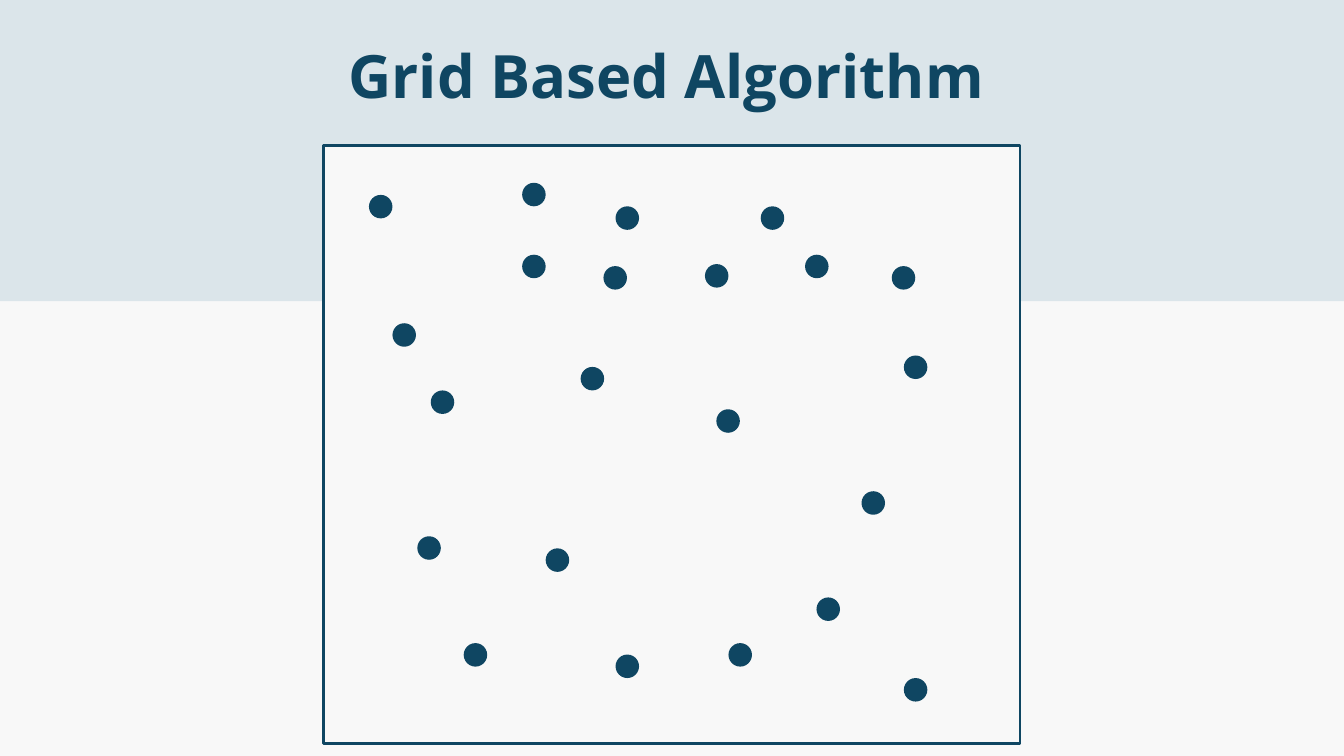
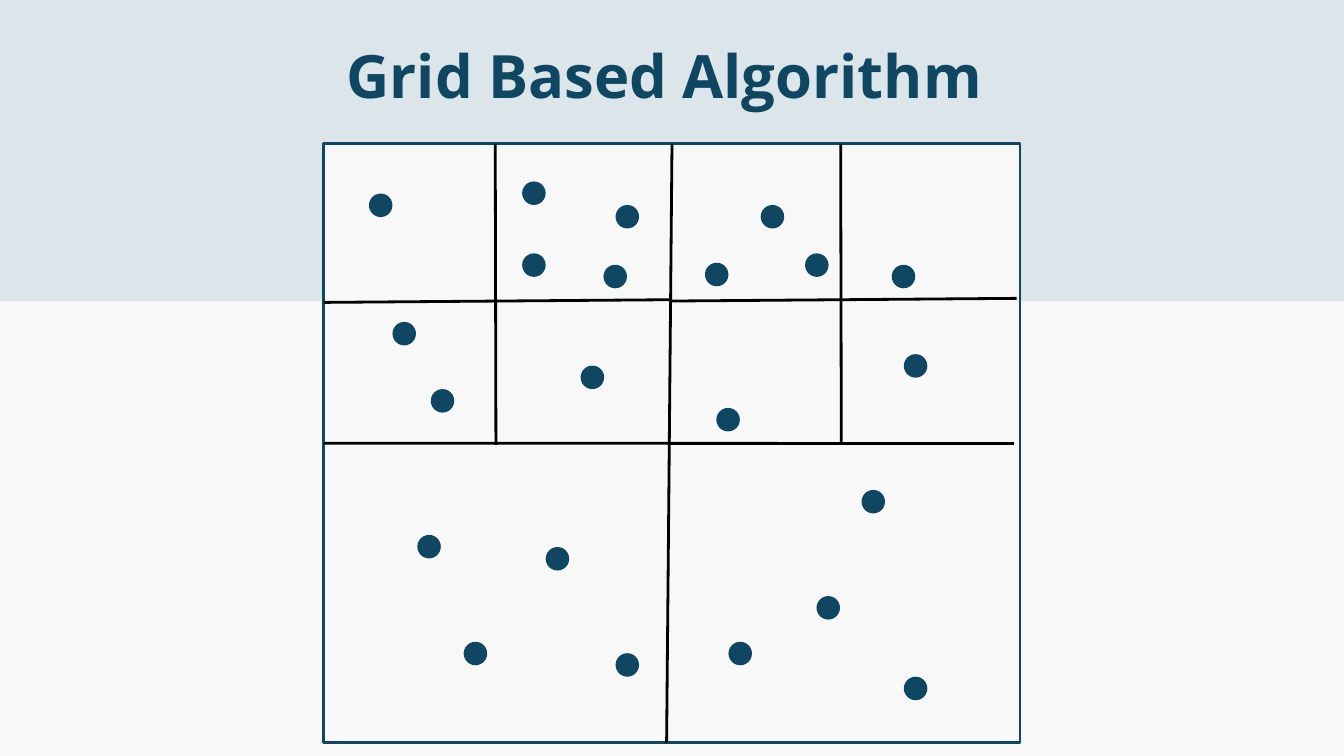
from dataclasses import dataclass

from lxml.etree import SubElement
from pptx import Presentation
from pptx.dml.color import RGBColor as RGB
from pptx.enum.shapes import MSO_CONNECTOR as CONN, MSO_SHAPE as SHAPE
from pptx.enum.text import MSO_AUTO_SIZE as AUTO, PP_ALIGN as ALIGN
from pptx.oxml.ns import qn
from pptx.util import Pt

PX = 9144


@dataclass(frozen=True)
class Theme:
    paper: RGB = RGB.from_string("F8F8F8")
    band: RGB = RGB.from_string("DBE5EA")
    ink: RGB = RGB.from_string("0F4662")
    grid: RGB = RGB.from_string("000000")
    font: str = "Open Sans"
    title_size: float = 64
    title_spacing: float = 89.6
    stroke: float = 3


THEME = Theme()
SLIDE_W, SLIDE_H, BAND_H = 2000, 1125, 448
PLOT_W, PLOT_H = 1036, 891
DOT = 35

POINTS = [
    (67, 74), (295, 56), (434, 91), (650, 91),
    (295, 163), (416, 180), (567, 177), (716, 163), (845, 180),
    (102, 265), (159, 365), (382, 330), (584, 393), (863, 313),
    (139, 582), (330, 600), (208, 741), (434, 758),
    (800, 515), (733, 673), (602, 741), (863, 793),
]

GRID_LINES = [
    ((1031, 230), (514, 234), None),
    ((518, 232), (0, 236), None),
    ((0, 446), (1027, 446), 1),
    ((769, 0), (770, 448), None),
    ((518, 0), (510, PLOT_H), 0),
    ((255, 0), (256, 448), None),
]


def emu(*lengths):
    return [n * PX for n in lengths]


def add_filled(slide, kind, box, fill, line=None):
    sp = slide.shapes.add_shape(kind, *emu(*box))
    sp.shadow.inherit = False
    sp.fill.solid()
    sp.fill.fore_color.rgb = fill
    if line is None:
        sp.line.fill.background()
    else:
        sp.line.color.rgb = line
        sp.line.width = Pt(THEME.stroke)
    return sp


def add_backdrop(slide):
    slide.background.fill.solid()
    slide.background.fill.fore_color.rgb = THEME.paper
    add_filled(slide, SHAPE.RECTANGLE, (0, 0, SLIDE_W, BAND_H), THEME.band)


def add_title(slide, box, text):
    tf = slide.shapes.add_textbox(*emu(*box)).text_frame
    tf.word_wrap = True
    tf.auto_size = AUTO.SHAPE_TO_FIT_TEXT
    tf.margin_left = tf.margin_top = tf.margin_right = tf.margin_bottom = 0
    p = tf.paragraphs[0]
    p.alignment = ALIGN.CENTER
    p.line_spacing = Pt(THEME.title_spacing)
    r = p.add_run()
    r.text = text
    r.font.name = THEME.font
    r.font.size = Pt(THEME.title_size)
    r.font.bold = True
    r.font.color.rgb = THEME.ink


def add_grid(slide, plot, left, top):
    for (x1, y1), (x2, y2), site in GRID_LINES:
        ends = emu(left + x1, top + y1, left + x2, top + y2)
        line = slide.shapes.add_connector(CONN.STRAIGHT, *ends)
        if site is not None:
            line.begin_connect(plot, site)
        line.line.color.rgb = THEME.grid
        line.line.width = Pt(THEME.stroke)
        SubElement(line._element.spPr, qn("a:effectLst"))


def add_plot(slide, box, gridded):
    left, top = box[:2]
    plot = add_filled(slide, SHAPE.RECTANGLE, box, THEME.paper, THEME.ink)
    if gridded:
        add_grid(slide, plot, left, top)
    for x, y in POINTS:
        add_filled(slide, SHAPE.OVAL, (left + x, top + y, DOT, DOT), THEME.ink)


def add_algorithm_slide(prs, title_left, plot_top, gridded):
    slide = prs.slides.add_slide(prs.slide_layouts[6])
    add_backdrop(slide)
    add_plot(slide, (482, plot_top, PLOT_W, PLOT_H), gridded)
    add_title(slide, (title_left, 40, 1111, 120), "Grid Based Algorithm")


def main():
    prs = Presentation()
    prs.slide_width, prs.slide_height = emu(SLIDE_W, SLIDE_H)
    add_algorithm_slide(prs, title_left=436, plot_top=216, gridded=False)
    add_algorithm_slide(prs, title_left=433, plot_top=214, gridded=True)
    prs.save("out.pptx")


if __name__ == "__main__":
    main()
